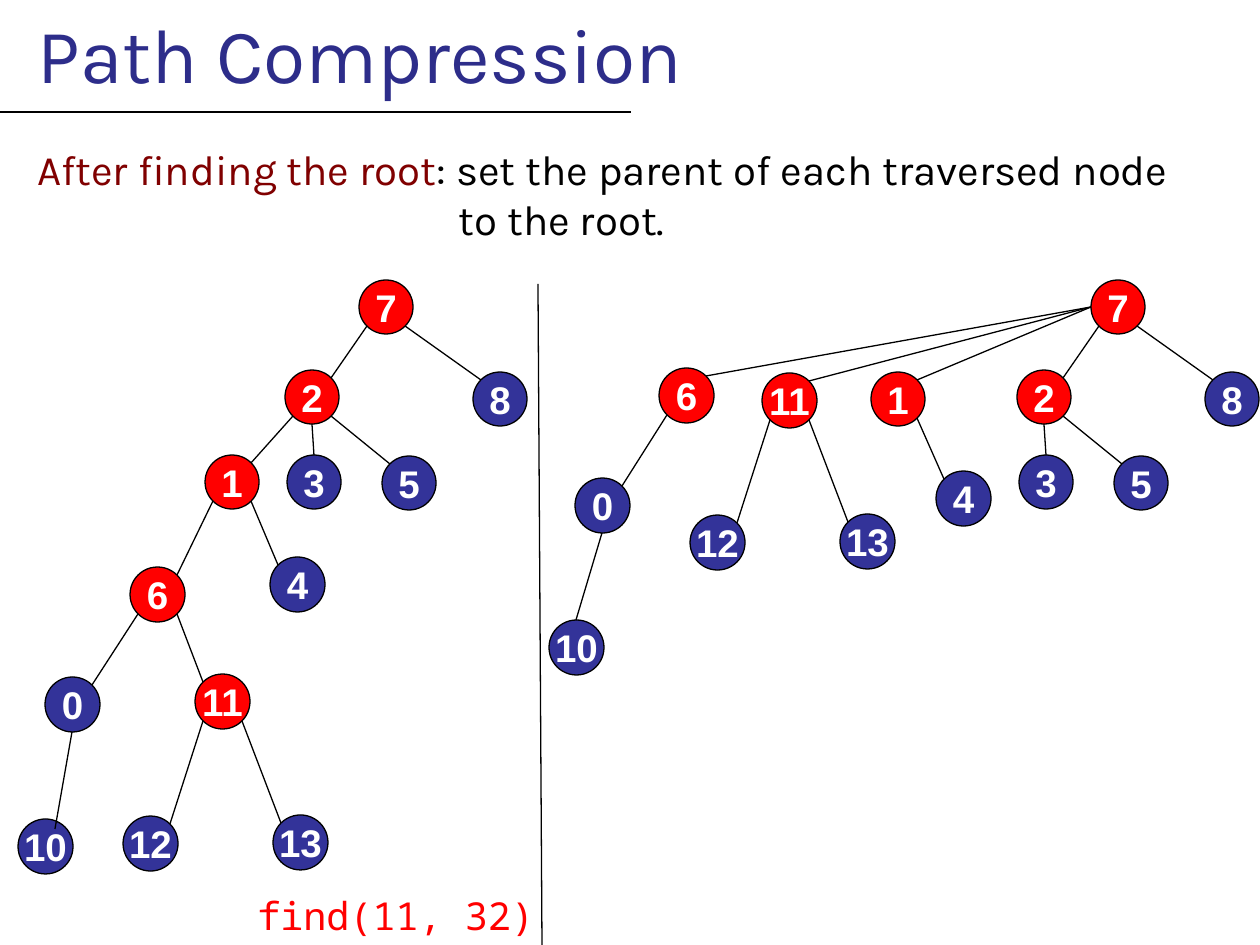
from dataclasses import dataclass

import lxml.etree
import pptx
import pptx.dml.color
import pptx.enum.shapes
import pptx.enum.text
import pptx.oxml.ns
import pptx.util

SCALE = 914400 / 126  # EMU in one px
BLACK, WHITE, RED, BLUE = "000000", "FFFFFF", "FF0000", "333399"
SMALL, LARGE = 54, 55
SHIFT = 732  # from the left root to the right root

# Points on a node, as shares of its width and height
TOP, LEFT, BOTTOM = (0.5, 0), (0, 0.5), (0.5, 1)
NW, NE, SW, SE = (0.15, 0.15), (0.85, 0.15), (0.15, 0.85), (0.85, 0.85)
INNER = (0.68, 0.18)


@dataclass
class Node:
    label: int
    left: int
    top: int
    size: int = LARGE

    def point(self, site: tuple) -> tuple:
        return (round(self.left + site[0] * self.size),
                round(self.top + site[1] * self.size))


@dataclass
class Edge:
    parent: int
    child: int
    start: tuple = SW
    end: tuple = NE


def px(length: int) -> pptx.util.Emu:
    return pptx.util.Emu(round(length * SCALE))


def color(code: str) -> pptx.dml.color.RGBColor:
    return pptx.dml.color.RGBColor.from_string(code)


def style(run, font: str, size: int, code: str, bold: bool = False) -> None:
    run.font.name = font
    run.font.size = pptx.util.Pt(size)
    run.font.bold = bold
    run.font.color.rgb = color(code)


def place(shape, left: int, top: int, width: int, height: int) -> None:
    shape.left, shape.top = px(left), px(top)
    shape.width, shape.height = px(width), px(height)


def plain(para, margin: int, indent: int) -> None:
    """Left-aligned text without a bullet."""
    props = para._p.get_or_add_pPr()
    props.set("marL", str(px(margin)))
    props.set("indent", str(px(indent)))
    lxml.etree.SubElement(props, pptx.oxml.ns.qn("a:buNone"))
    para.alignment = pptx.enum.text.PP_ALIGN.LEFT
    para.space_before = pptx.util.Pt(0)


def setup(shape, box: tuple):
    """Move a placeholder and return its text frame."""
    place(shape, *box)
    frame = shape.text_frame
    frame.word_wrap = True
    frame.auto_size = pptx.enum.text.MSO_AUTO_SIZE.NONE
    frame.vertical_anchor = pptx.enum.text.MSO_ANCHOR.TOP
    return frame


def draw_line(slide, start: tuple, end: tuple, width: float = 0.75) -> None:
    line = slide.shapes.add_connector(
        pptx.enum.shapes.MSO_CONNECTOR.STRAIGHT,
        *(px(value) for value in start + end))
    line.line.color.rgb = color(BLACK)
    line.line.width = pptx.util.Pt(width)
    lxml.etree.SubElement(line._element.spPr, pptx.oxml.ns.qn("a:effectLst"))


def draw_node(slide, node: Node) -> None:
    shape = slide.shapes.add_shape(
        pptx.enum.shapes.MSO_SHAPE.OVAL,
        px(node.left), px(node.top), px(node.size), px(node.size))
    shape.shadow.inherit = False
    shape.fill.solid()
    shape.fill.fore_color.rgb = color(RED if node.label in PATH else BLUE)
    shape.line.color.rgb = color(BLACK)
    shape.line.width = pptx.util.Pt(0.75)
    frame = shape.text_frame
    frame.margin_left = frame.margin_right = 0
    frame.margin_top = frame.margin_bottom = 0
    frame.word_wrap = False
    frame.vertical_anchor = pptx.enum.text.MSO_ANCHOR.MIDDLE
    frame.text = str(node.label)
    para = frame.paragraphs[0]
    para.alignment = pptx.enum.text.PP_ALIGN.CENTER
    style(para.runs[0], "Arial", 22, WHITE, True)


def draw_tree(slide, nodes: list, edges: list) -> None:
    lookup = {node.label: node for node in nodes}
    for node in nodes:
        draw_node(slide, node)
    for edge in edges:
        draw_line(slide, lookup[edge.parent].point(edge.start),
                  lookup[edge.child].point(edge.end))


# Nodes on the way from 11 to the root
PATH = {7, 2, 1, 6, 11}

# The part around the root looks alike in both trees
CROWN = [Node(7, 359, 280, SMALL), Node(2, 285, 370, SMALL),
         Node(8, 473, 372, SMALL), Node(3, 287, 455, SMALL),
         Node(5, 382, 456, SMALL)]
SHARED = [Edge(7, 2), Edge(7, 8, SE, NW), Edge(2, 3, BOTTOM, TOP),
          Edge(2, 5, SE, NW), Edge(1, 4, SE, NW), Edge(6, 0),
          Edge(11, 12), Edge(11, 13, SE, NW)]

BEFORE = CROWN + [
    Node(1, 205, 455, SMALL), Node(4, 270, 557), Node(6, 130, 567),
    Node(0, 45, 677), Node(11, 195, 674), Node(10, 18, 819),
    Node(12, 123, 816), Node(13, 273, 815)]
DEEP = SHARED + [Edge(2, 1), Edge(1, 6), Edge(6, 11, SE, NW),
                 Edge(0, 10, BOTTOM, INNER)]

AFTER = [Node(n.label, n.left + SHIFT, n.top, n.size) for n in CROWN] + [
    Node(1, 871, 372, SMALL), Node(4, 936, 471), Node(6, 659, 368),
    Node(0, 575, 478), Node(11, 762, 373), Node(10, 549, 620),
    Node(12, 690, 515), Node(13, 840, 514)]
FLAT = SHARED + [Edge(7, label, LEFT) for label in (6, 11, 1)] + [
    Edge(0, 10, BOTTOM, TOP)]


def main() -> None:
    deck = pptx.Presentation()
    deck.slide_width, deck.slide_height = px(1260), px(945)
    slide = deck.slides.add_slide(deck.slide_layouts[1])

    # Title and the rule below it
    frame = setup(slide.shapes.title, (0, 0, 1260, 126))
    frame.text = "Path Compression"
    plain(frame.paragraphs[0], 25, 0)
    style(frame.paragraphs[0].runs[0], "Karla", 44, "2D2D8A")
    draw_line(slide, (0, 112), (631, 112), 1.5)

    # Statement with a hanging second line
    frame = setup(slide.placeholders[1], (0, 137, 1286, 808))
    frame.margin_right = px(100)
    frame.text = "After finding the root"
    para = frame.paragraphs[0]
    plain(para, 446, -421)
    para.add_run().text = ": set the parent of each traversed node to the root."
    for run, code in zip(para.runs, ("800000", BLACK)):
        style(run, "Karla", 24, code)

    # Trees before and after, with a line between them
    draw_tree(slide, BEFORE, DEEP)
    draw_line(slide, (538, 284), (542, 945))
    draw_tree(slide, AFTER, FLAT)

    # Call below the left tree
    call = slide.shapes.add_textbox(px(245), px(886), px(305), px(59))
    call.text_frame.word_wrap = False
    call.text_frame.text = "find(11, 32)"
    style(call.text_frame.paragraphs[0].runs[0], "Noto Sans Mono", 22, RED)

    deck.save("out.pptx")


if __name__ == "__main__":
    main()
